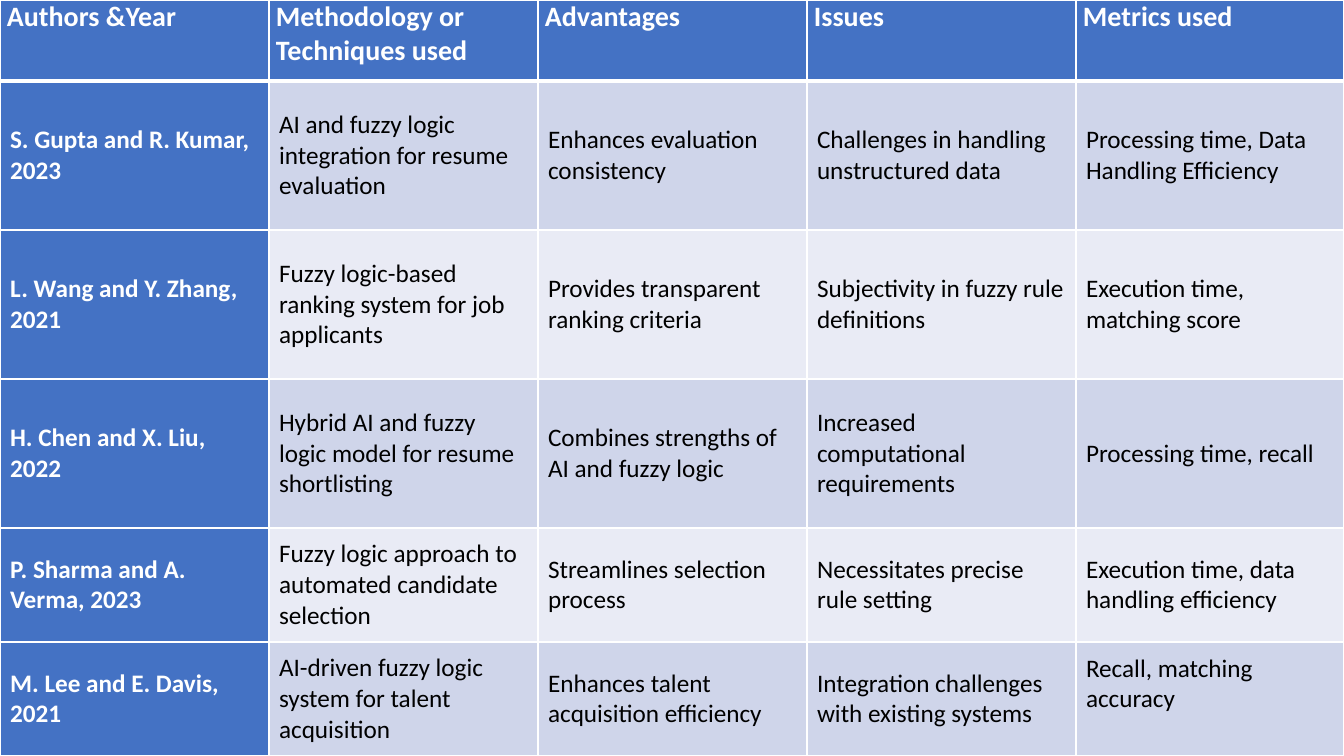
import pptx
import pptx.util
import pptx.dml.color
import pptx.enum.text
import lxml.etree
import pptx.oxml.ns

PX = 914400 / 100.8
WHITE = pptx.dml.color.RGBColor(0xFF, 0xFF, 0xFF)
BLACK = pptx.dml.color.RGBColor(0x00, 0x00, 0x00)
BLUE = pptx.dml.color.RGBColor(0x44, 0x72, 0xC4)
BAND_DARK = pptx.dml.color.RGBColor(0xCF, 0xD5, 0xEA)
BAND_LIGHT = pptx.dml.color.RGBColor(0xE9, 0xEB, 0xF5)

COLUMN_WIDTHS = [269, 269, 269, 269, 268]
ROW_HEIGHTS = [81, 149, 149, 149, 114, 114]
ROWS = [
    ["Authors &Year", "Methodology or Techniques used", "Advantages", "Issues", "Metrics used"],
    ["S. Gupta and R. Kumar, 2023", "AI and fuzzy logic integration for resume evaluation",
     "Enhances evaluation consistency", "Challenges in handling unstructured data",
     "Processing time, Data Handling Efficiency"],
    ["L. Wang and Y. Zhang, 2021", "Fuzzy logic-based ranking system for job applicants",
     "Provides transparent ranking criteria", "Subjectivity in fuzzy rule definitions",
     "Execution time, matching score"],
    ["H. Chen and X. Liu, 2022", "Hybrid AI and fuzzy logic model for resume shortlisting",
     "Combines strengths of AI and fuzzy logic", "Increased computational requirements",
     "Processing time, recall"],
    ["P. Sharma and A. Verma, 2023", "Fuzzy logic approach to automated candidate selection",
     "Streamlines selection process", "Necessitates precise rule setting",
     "Execution time, data handling efficiency"],
    ["M. Lee and E. Davis, 2021", "AI-driven fuzzy logic system for talent acquisition",
     "Enhances talent acquisition efficiency", "Integration challenges with existing systems",
     "Recall, matching accuracy"],
]


def px(length):
    return pptx.util.Emu(round(length * PX))


def add_border(cell, side, points):
    properties = cell._tc.get_or_add_tcPr()
    line = lxml.etree.SubElement(properties, pptx.oxml.ns.qn("a:ln" + side),
                                 w=str(pptx.util.Pt(points)))
    fill = lxml.etree.SubElement(line, pptx.oxml.ns.qn("a:solidFill"))
    lxml.etree.SubElement(fill, pptx.oxml.ns.qn("a:srgbClr"), val=str(WHITE))


presentation = pptx.Presentation()
presentation.slide_width = px(1344)
presentation.slide_height = px(756)
slide = presentation.slides.add_slide(presentation.slide_layouts[6])

# Table filling the slide
table = slide.shapes.add_table(len(ROWS), len(COLUMN_WIDTHS), 0, 0, px(1344), px(756)).table
for column, width in zip(table.columns, COLUMN_WIDTHS):
    column.width = px(width)
for row, height in zip(table.rows, ROW_HEIGHTS):
    row.height = px(height)

# Cells: blue header row and author column, banded body
for row_index, texts in enumerate(ROWS):
    is_header = row_index == 0
    for column_index, text in enumerate(texts):
        cell = table.cell(row_index, column_index)
        is_heading = is_header or column_index == 0

        for side in "LRTB":
            under_header = (row_index, side) in [(0, "B"), (1, "T")]
            add_border(cell, side, 3 if under_header else 1)
        cell.fill.solid()
        band = BAND_DARK if row_index % 2 else BAND_LIGHT
        cell.fill.fore_color.rgb = BLUE if is_heading else band

        if is_header:
            cell.margin_left = cell.margin_right = px(7)
            cell.margin_top = cell.margin_bottom = 0
        else:
            cell.vertical_anchor = pptx.enum.text.MSO_ANCHOR.MIDDLE

        cell.text_frame.text = text
        font = cell.text_frame.paragraphs[0].runs[0].font
        font.name = "Calibri"
        font.size = pptx.util.Pt(20 if is_header else 18)
        font.bold = is_heading
        font.color.rgb = WHITE if is_heading else BLACK

# The last metrics cell sits half a line higher
table.cell(5, 4).margin_bottom = px(35)

presentation.save("out.pptx")
